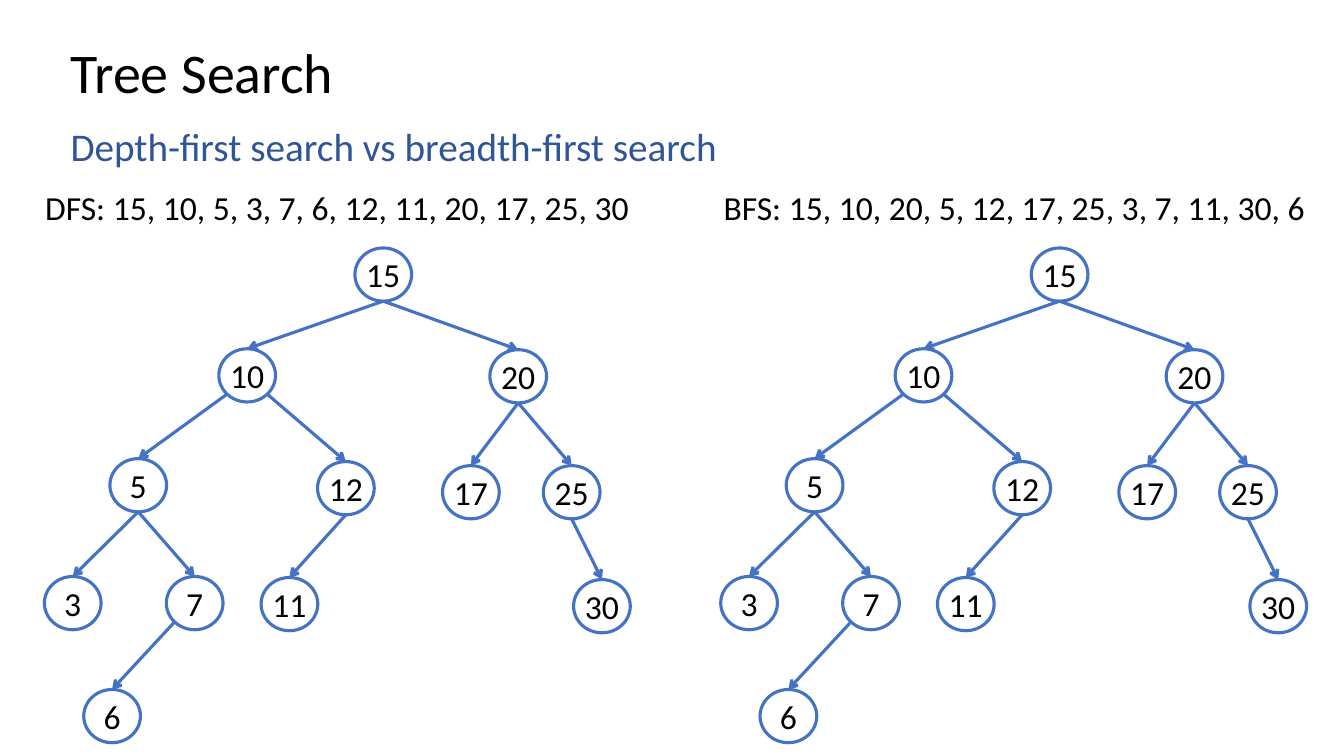
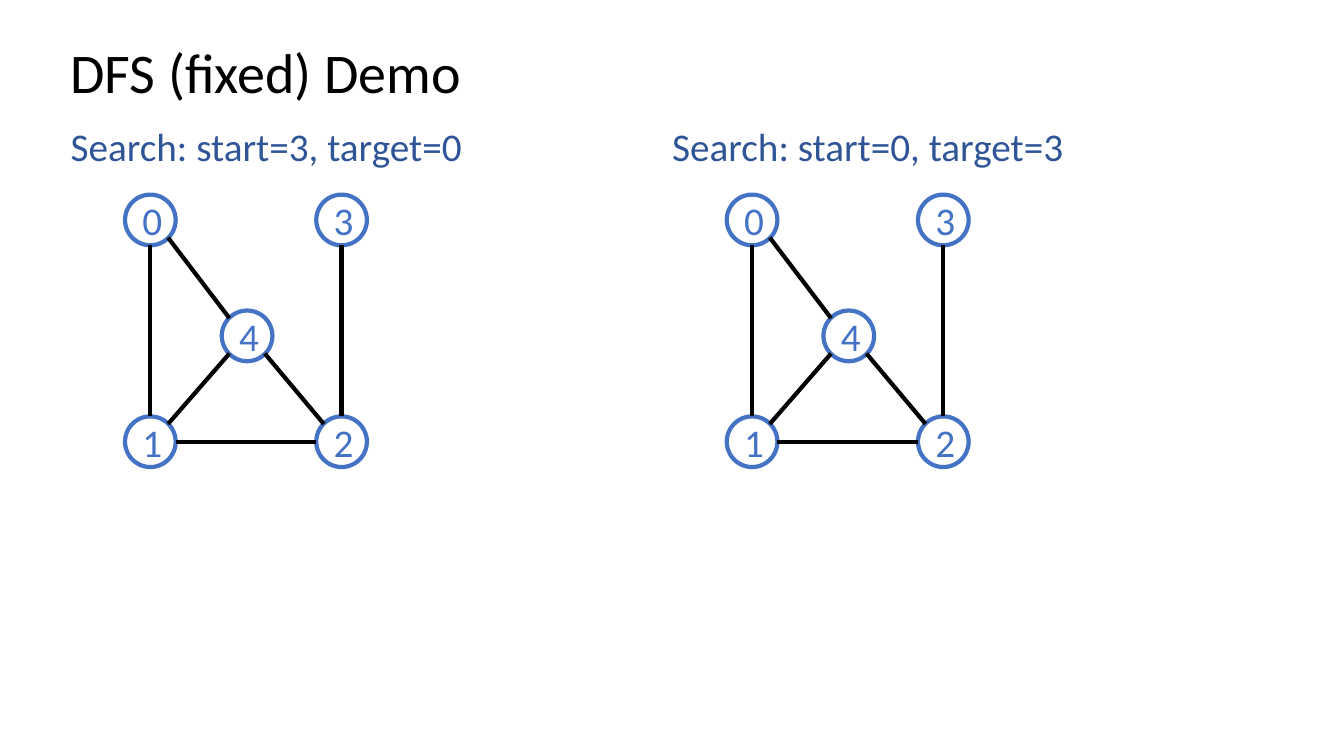
from pptx import Presentation
from pptx.dml.color import RGBColor
from pptx.enum.shapes import MSO_CONNECTOR, MSO_SHAPE
from pptx.enum.text import MSO_ANCHOR, MSO_AUTO_SIZE, PP_ALIGN
from pptx.oxml.ns import qn
from pptx.util import Pt
from lxml import etree

STRAIGHT, ELLIPSE = MSO_CONNECTOR.STRAIGHT, MSO_SHAPE.OVAL
LEFT, CENTER = PP_ALIGN.LEFT, PP_ALIGN.CENTER
TOP_ANCHOR, MIDDLE_ANCHOR = MSO_ANCHOR.TOP, MSO_ANCHOR.MIDDLE
NO_AUTOFIT = MSO_AUTO_SIZE.NONE

BLACK = RGBColor(0x00, 0x00, 0x00)
WHITE = RGBColor(0xFF, 0xFF, 0xFF)
BLUE = RGBColor(0x44, 0x72, 0xC4)
DARK_BLUE = RGBColor(0x2F, 0x55, 0x97)
FONT = "Calibri"

TITLE_BOX = (43.2, 28.8, 828, 49.7)
TITLE_STYLE = {"size": 40, "color": BLACK, "anchor": MIDDLE_ANCHOR,
               "paragraph": {"alignment": LEFT, "line_spacing": 0.9}}
HEADING_STYLE = {"size": 28, "color": DARK_BLUE, "anchor": TOP_ANCHOR,
                 "paragraph": {"alignment": LEFT, "line_spacing": 0.9,
                               "space_before": Pt(10)}}
ORDER_STYLE = {"size": 24, "color": BLACK, "anchor": TOP_ANCHOR,
               "paragraph": {"alignment": LEFT}}
TREE_NODE_STYLE = {"size": 24, "color": BLACK, "anchor": MIDDLE_ANCHOR,
                   "paragraph": {"alignment": CENTER},
                   "frame": {"margin_left": 0, "margin_right": 0,
                             "margin_top": 0, "margin_bottom": 0}}
GRAPH_NODE_STYLE = {"size": 28, "color": BLUE, "anchor": MIDDLE_ANCHOR,
                    "paragraph": {"alignment": CENTER}}

TOP, BOTTOM, SIDE_LEFT, SIDE_RIGHT = (0.5, 0), (0.5, 1), (0, 0.5), (1, 0.5)
UPPER_LEFT, UPPER_RIGHT = (0.15, 0.15), (0.85, 0.15)
LOWER_LEFT, LOWER_RIGHT = (0.15, 0.85), (0.85, 0.85)

TREE_NODE_SIZE = (40.5, 38)
TREE_NODES = {
    "15": (221.8, 0), "10": (124.6, 72), "20": (318.2, 72.7),
    "5": (46.8, 150.5), "12": (195.1, 152.6),
    "17": (284.4, 155.5), "25": (356.4, 155.5),
    "3": (0, 234.7), "7": (87.1, 234.7), "11": (154.8, 235.4),
    "30": (378, 236.9), "6": (28.1, 315.4),
}
TREE_EDGES = [
    ("15", BOTTOM, "10", TOP), ("15", BOTTOM, "20", TOP),
    ("10", LOWER_LEFT, "5", TOP), ("10", LOWER_RIGHT, "12", TOP),
    ("20", BOTTOM, "17", TOP), ("20", BOTTOM, "25", TOP),
    ("5", BOTTOM, "3", TOP), ("5", BOTTOM, "7", TOP),
    ("12", BOTTOM, "11", TOP), ("25", BOTTOM, "30", TOP),
    ("7", LOWER_LEFT, "6", TOP),
]
TREE_FORMAT = {"node_size": TREE_NODE_SIZE, "text_style": TREE_NODE_STYLE,
               "line_width": 2.25, "edge_color": BLUE, "directed": True}

GRAPH_NODE_SIZE = (36.2, 36.2)
GRAPH_NODES = {"0": (0, 0), "3": (136.6, 0), "4": (69.1, 82.8),
               "1": (0, 158.4), "2": (136.6, 158.4)}
GRAPH_EDGES = [
    ("0", LOWER_RIGHT, "4", UPPER_LEFT), ("0", BOTTOM, "1", TOP),
    ("1", UPPER_RIGHT, "4", LOWER_LEFT), ("2", UPPER_LEFT, "4", LOWER_RIGHT),
    ("1", SIDE_RIGHT, "2", SIDE_LEFT), ("3", BOTTOM, "2", TOP),
]
GRAPH_FORMAT = {"node_size": GRAPH_NODE_SIZE, "text_style": GRAPH_NODE_STYLE,
                "line_width": 3, "edge_color": BLACK, "directed": False}


def set_attributes(target, values):
    """Set each named attribute of the target."""
    for name, value in values.items():
        setattr(target, name, value)


def place(shape, box):
    """Move and size a shape to a box given in points."""
    set_attributes(shape, dict(zip(("left", "top", "width", "height"), map(Pt, box))))


def write(shape, text, style):
    """Write one styled paragraph into a shape."""
    frame = shape.text_frame
    set_attributes(frame, {"word_wrap": True, "auto_size": NO_AUTOFIT,
                           "vertical_anchor": style["anchor"], **style.get("frame", {})})
    paragraph = frame.paragraphs[0]
    set_attributes(paragraph, style["paragraph"])
    run = paragraph.add_run()
    run.text = text
    set_attributes(run.font, {"name": FONT, "size": Pt(style["size"]), "bold": False})
    run.font.color.rgb = style["color"]


def remove_bullet(shape):
    """Turn off the bullet and hanging indent of the first paragraph."""
    properties = shape.text_frame.paragraphs[0]._p.get_or_add_pPr()
    properties.set("marL", "0")
    properties.set("indent", "0")
    etree.SubElement(properties, qn("a:buNone"))


def add_titled_slide(deck, title, heading, heading_box):
    """Add a slide with a title and a heading below it."""
    slide = deck.slides.add_slide(deck.slide_layouts[1])
    place(slide.shapes.title, TITLE_BOX)
    write(slide.shapes.title, title, TITLE_STYLE)
    body = slide.placeholders[1]
    place(body, heading_box)
    write(body, heading, HEADING_STYLE)
    remove_bullet(body)
    return slide


def add_label(slide, text, box, style):
    """Add a text box in the given style."""
    write(slide.shapes.add_textbox(*map(Pt, box)), text, style)


def add_node(group, label, box, line_width, text_style):
    """Add a labelled round node."""
    node = group.shapes.add_shape(ELLIPSE, *map(Pt, box))
    node.shadow.inherit = False
    node.fill.solid()
    node.fill.fore_color.rgb = WHITE
    node.line.color.rgb = BLUE
    node.line.width = Pt(line_width)
    write(node, label, text_style)


def add_edge(group, start, end, line_width, color, directed):
    """Add a straight edge, with an arrowhead if it is directed."""
    edge = group.shapes.add_connector(STRAIGHT, *map(Pt, start + end))
    edge.line.color.rgb = color
    edge.line.width = Pt(line_width)
    if directed:
        etree.SubElement(edge.line._get_or_add_ln(), qn("a:tailEnd"), type="arrow")
    etree.SubElement(edge._element.spPr, qn("a:effectLst"))


def add_network(slide, origin, nodes, edges, node_size, text_style,
                line_width, edge_color, directed):
    """Draw nodes and edges as one group, offset from the origin."""
    group = slide.shapes.add_group_shape()
    left, top = origin
    width, height = node_size

    def site(label, anchor):
        """Return the point of a node's outline at the anchor."""
        x, y = nodes[label]
        return left + x + anchor[0] * width, top + y + anchor[1] * height

    for label in nodes:
        add_node(group, label, site(label, (0, 0)) + node_size, line_width, text_style)
    for parent, leaving, child, arriving in edges:
        add_edge(group, site(parent, leaving), site(child, arriving),
                 line_width, edge_color, directed)


def add_tree_search(deck):
    """Build the slide that compares both visiting orders."""
    slide = add_titled_slide(deck, "Tree Search",
                             "Depth-first search vs breadth-first search",
                             (43.2, 87.8, 828, 160.6))
    orders = ["DFS: 15, 10, 5, 3, 7, 6, 12, 11, 20, 17, 25, 30",
              "BFS: 15, 10, 20, 5, 12, 17, 25, 3, 7, 11, 30, 6"]
    for column, order in enumerate(orders):
        add_network(slide, (31.7 + column * 483.1, 177.1),
                    TREE_NODES, TREE_EDGES, **TREE_FORMAT)
        add_label(slide, order, (25.2 + column * 484.6, 130.3, 446, 36), ORDER_STYLE)


def add_search_demo(deck):
    """Build the slide that shows two searches on the same graph."""
    heading_box = (43.2, 87.8, 320.4, 42.5)
    column_step = 429.8
    slide = add_titled_slide(deck, "DFS (fixed) Demo",
                             "Search: start=3, target=0", heading_box)
    add_label(slide, "Search: start=0, target=3",
              (heading_box[0] + column_step,) + heading_box[1:], HEADING_STYLE)
    for column in range(2):
        add_network(slide, (89.3 + column * column_step, 139),
                    GRAPH_NODES, GRAPH_EDGES, **GRAPH_FORMAT)


def main():
    """Build and save the presentation."""
    deck = Presentation()
    set_attributes(deck, {"slide_width": Pt(960), "slide_height": Pt(540)})
    add_tree_search(deck)
    add_search_demo(deck)
    deck.save("out.pptx")


main()
